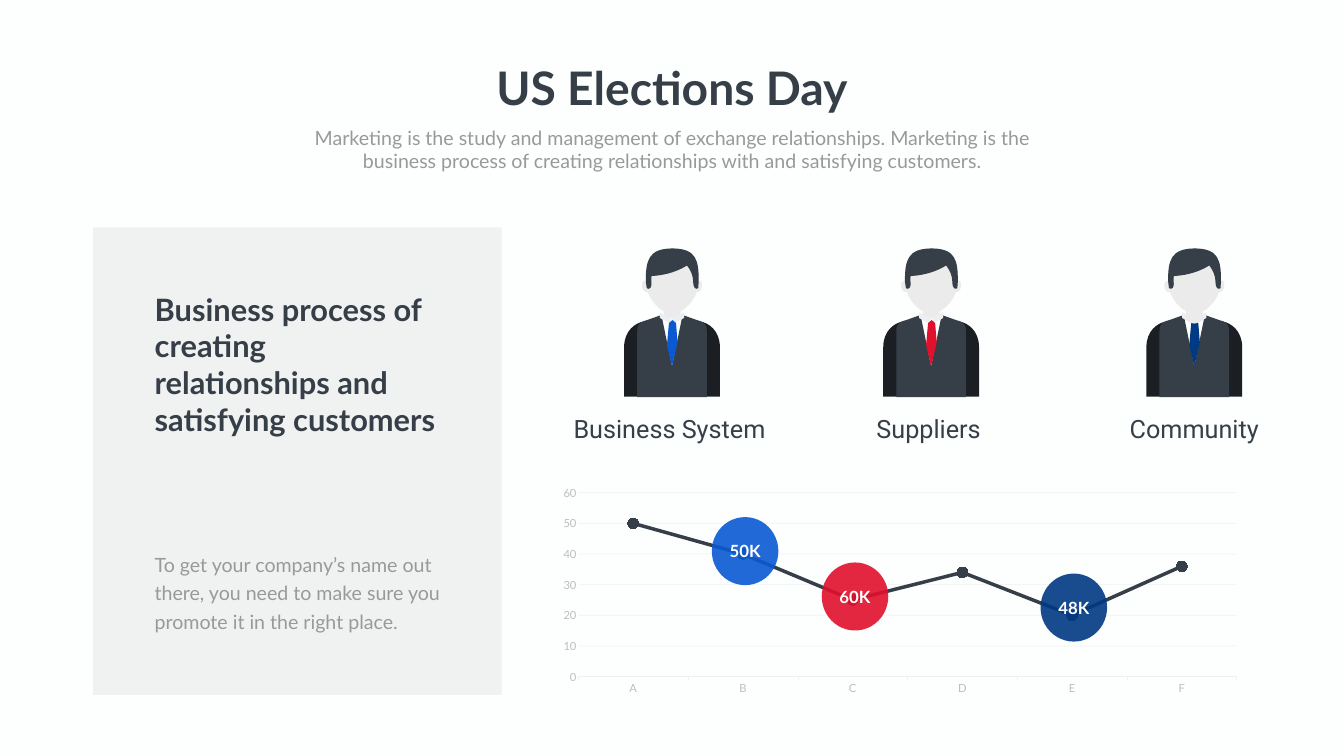
from lxml import etree
from pptx import Presentation
from pptx.chart.data import CategoryChartData
from pptx.dml.color import RGBColor
from pptx.enum.chart import XL_CHART_TYPE as ChartType, XL_MARKER_STYLE as Marker, XL_TICK_MARK as Tick
from pptx.enum.shapes import MSO_SHAPE as Preset
from pptx.enum.text import MSO_ANCHOR as Anchor, MSO_AUTO_SIZE as AutoSize, PP_ALIGN as Align
from pptx.oxml.ns import qn
from pptx.util import Inches, Pt


def paint(fill, colour, opacity=100):
    fill.solid()
    fill.fore_color.rgb = RGBColor.from_string(colour)
    if opacity < 100:
        solid = fill._xPr.find(qn("a:solidFill"))
        etree.SubElement(solid[0], qn("a:alpha")).set("val", str(opacity * 1000))


def write(shape, text, size, colour, font="Lato", bold=False, align=Align.CENTER):
    shape.text_frame.word_wrap = True
    paragraph = shape.text_frame.paragraphs[0]
    paragraph.text = text
    paragraph.alignment = align
    paragraph.font.name = font
    paragraph.font.size = Pt(size)
    paragraph.font.bold = bold
    paint(paragraph.font.fill, colour)
    return paragraph


DARK, GREY, SKIN, SLEEVE = "363E48", "999999", "EBEBEB", "1B1F24"
BLUE, RED, NAVY = "0A59D2", "E1102D", "003984"

presentation = Presentation()
presentation.slide_width = Inches(26.66)
presentation.slide_height = Inches(15)
slide = presentation.slides.add_slide(presentation.slide_layouts[6])
paint(slide.background.fill, "FDFFFE")

card = slide.shapes.add_shape(Preset.RECTANGLE, Inches(1.85), Inches(4.51), Inches(8.1), Inches(9.28))
card.shadow.inherit = False
card.line.fill.background()
paint(card.fill, "808080", 10)

texts = [
    (9.69, 1.12, 7.28, 1.21, "US Elections Day", 66, DARK, "Lato", True, Align.CENTER),
    (5.47, 2.44, 15.72, 1.04,
     "Marketing is the study and management of exchange relationships. Marketing is the "
     "business process of creating relationships with and satisfying customers.",
     28, GREY, "Lato", False, Align.CENTER),
    (2.97, 5.71, 6.01, 3.06, "Business process of creating relationships and satisfying customers",
     44, DARK, "Lato", True, Align.LEFT),
    (2.97, 10.82, 6.14, 1.77,
     "To get your company’s name out there, you need to make sure you promote it in the right place.",
     28, GREY, "Lato", False, Align.LEFT),
    (10.9, 8.16, 4.76, 0.71, "Business System", 36, DARK, "Roboto", False, Align.CENTER),
    (16.04, 8.16, 4.76, 0.71, "Suppliers", 36, DARK, "Roboto", False, Align.CENTER),
    (21.31, 8.16, 4.76, 0.71, "Community", 36, DARK, "Roboto", False, Align.CENTER),
]
for left, top, width, height, *content in texts:
    box = slide.shapes.add_textbox(Inches(left), Inches(top), Inches(width), Inches(height))
    paragraph = write(box, *content)
    box.text_frame.auto_size = AutoSize.SHAPE_TO_FIT_TEXT
    if content[0].startswith("To get"):
        paragraph.line_spacing = Pt(40.8)

chart_data = CategoryChartData()
chart_data.categories = list("ABCDEF")
chart_data.add_series("Series 1", [50, 40, 25, 34, 20, 36])
chart = slide.shapes.add_chart(ChartType.LINE_MARKERS_STACKED, Inches(10.9), Inches(9.56),
                               Inches(13.91), Inches(4.31), chart_data).chart
chart.has_legend = False
chart.has_title = False
chart.font.name = "Lato"
chart.font.size = Pt(16)
paint(chart.font.fill, GREY)
for axis in (chart.category_axis, chart.value_axis):
    axis.tick_labels.font.name = "Lato"
    axis.tick_labels.font.size = Pt(16)
    paint(axis.tick_labels.font.fill, "BDBDBD")
    axis.minor_tick_mark = Tick.NONE
chart.category_axis.major_tick_mark = Tick.OUTSIDE
chart.category_axis.format.line.width = Pt(0.75)
paint(chart.category_axis.format.line.fill, "F0F0F0")
values = chart.value_axis
values.minimum_scale, values.maximum_scale, values.major_unit = 0, 60, 10
values.major_tick_mark = Tick.NONE
values.format.line.fill.background()
values.has_major_gridlines = True
values.major_gridlines.format.line.width = Pt(1)
paint(values.major_gridlines.format.line.fill, "808080", 10)
chart.plots[0].vary_by_categories = False
series = chart.plots[0].series[0]
series.smooth = False
series.format.line.width = Pt(5)
paint(series.format.line.fill, DARK)
series.marker.style = Marker.CIRCLE
series.marker.size = 15
paint(series.marker.format.fill, "313131")
series.marker.format.line.fill.background()

for left, top, label, colour in [(14.12, 10.26, "50K", BLUE), (16.3, 11.16, "60K", RED),
                                 (20.64, 11.38, "48K", NAVY)]:
    bubble = slide.shapes.add_shape(Preset.OVAL, Inches(left), Inches(top), Inches(1.32), Inches(1.35))
    bubble.shadow.inherit = False
    bubble.line.fill.background()
    paint(bubble.fill, colour, 90)
    write(bubble, label, 24, "FFFFFF", bold=True)
    bubble.text_frame.vertical_anchor = Anchor.MIDDLE

ear = [(0.59, 5.7), (0.58, 5.77, 0.53, 5.81, 0.49, 5.8), (0.45, 5.79, 0.43, 5.74, 0.45, 5.67),
       (0.46, 5.6, 0.51, 5.56, 0.55, 5.57), (0.58, 5.57, 0.61, 5.63, 0.59, 5.7)]
face = [(0, 4.93), (0.49, 4.93, 0.53, 5.22, 0.53, 5.58), (0.53, 5.85, 0.35, 6.08, 0.17, 6.18),
        (0.17, 6.34), (0.17, 6.34, 0.08, 6.42, 0, 6.42), (-0.1, 6.42, -0.16, 6.34, -0.16, 6.34),
        (-0.16, 6.18), (-0.34, 6.08, -0.52, 5.85, -0.52, 5.58), (-0.52, 5.22, -0.5, 4.93, 0, 4.93)]
hair = [(0.03, 4.93), (-0.01, 4.93), (-0.46, 4.94, -0.52, 5.16, -0.52, 5.58),
        (-0.5, 5.72), (-0.46, 5.73), (-0.46, 5.73, -0.39, 5.73, -0.41, 5.58),
        (-0.43, 5.44, -0.33, 5.1, 0, 5.1), (0.23, 5.1, 0.42, 5.38, 0.42, 5.58),
        (0.42, 5.73, 0.48, 5.73, 0.48, 5.73), (0.52, 5.72), (0.53, 5.58),
        (0.53, 5.16, 0.48, 4.94, 0.03, 4.93)]
fringe = [(0.44, 5.16), (0.44, 5.16, 0.13, 5.48, -0.5, 5.48), (-0.5, 5.48, -0.52, 5.13, -0.23, 5),
          (0.07, 4.88, 0.39, 5.06, 0.44, 5.16)]
sleeve = [(0.95, 7.87), (0.95, 6.89), (0.95, 6.55, 0.72, 6.41, 0.57, 6.38), (0.57, 7.87)]
shirt = [(0, 6.32), (-0.23, 6.25), (0, 7.27), (0.23, 6.25)]
jacket = [(-0.69, 7.88), (0.69, 7.88), (0.69, 6.57), (0.69, 6.4, 0.6, 6.38, 0.49, 6.35), (0.21, 6.25),
          (0, 7.27), (-0.21, 6.25), (-0.49, 6.35), (-0.6, 6.38, -0.69, 6.4, -0.69, 6.57)]
collar = [(0.24, 6.2), (0.24, 6.31), (0.01, 6.43), (0.01, 6.31)]
tie = [(0.01, 6.35), (0.08, 6.41), (0.11, 6.79), (0, 7.27), (-0.1, 6.84), (-0.06, 6.41)]

head = [(face, SKIN, 1), (ear, SKIN, 1), (ear, SKIN, -1), (hair, DARK, 1), (fringe, DARK, 1)]
suit = [(sleeve, SLEEVE, 1), (sleeve, SLEEVE, -1), (shirt, "FFFFFF", 1), (jacket, DARK, 1),
        (collar, "EDEEF0", 1), (collar, "EDEEF0", -1)]

for centre, tie_colour, head_in_front in [(13.33, BLUE, False), (18.47, RED, False), (23.69, NAVY, True)]:
    body = suit + [(tie, tie_colour, 1)]
    for outline, colour, side in body + head if head_in_front else head + body:
        points = [(Inches(centre + side * x), Inches(y))
                  for step in outline for x, y in zip(step[::2], step[1::2])]
        builder = slide.shapes.build_freeform(*points[0])
        builder.add_line_segments(points[1:], close=True)
        shape = builder.convert_to_shape()
        lines = iter(shape._element.findall(".//" + qn("a:lnTo")))
        for step in outline[1:]:
            segment = next(lines)
            if len(step) == 6:
                curve = etree.Element(qn("a:cubicBezTo"))
                segment.addprevious(curve)
                for line in (segment, next(lines), next(lines)):
                    curve.append(line[0])
                    line.getparent().remove(line)
        shape.shadow.inherit = False
        shape.line.fill.background()
        paint(shape.fill, colour)

presentation.save("out.pptx")
